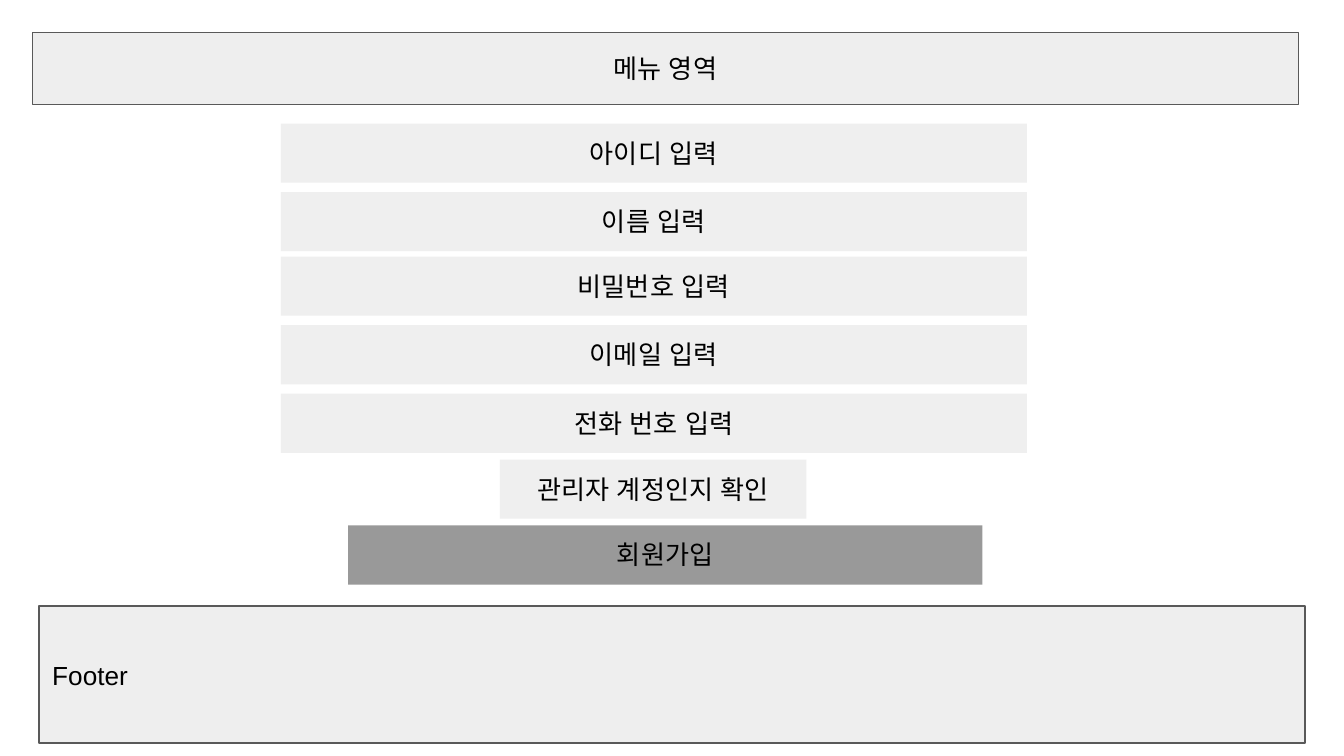
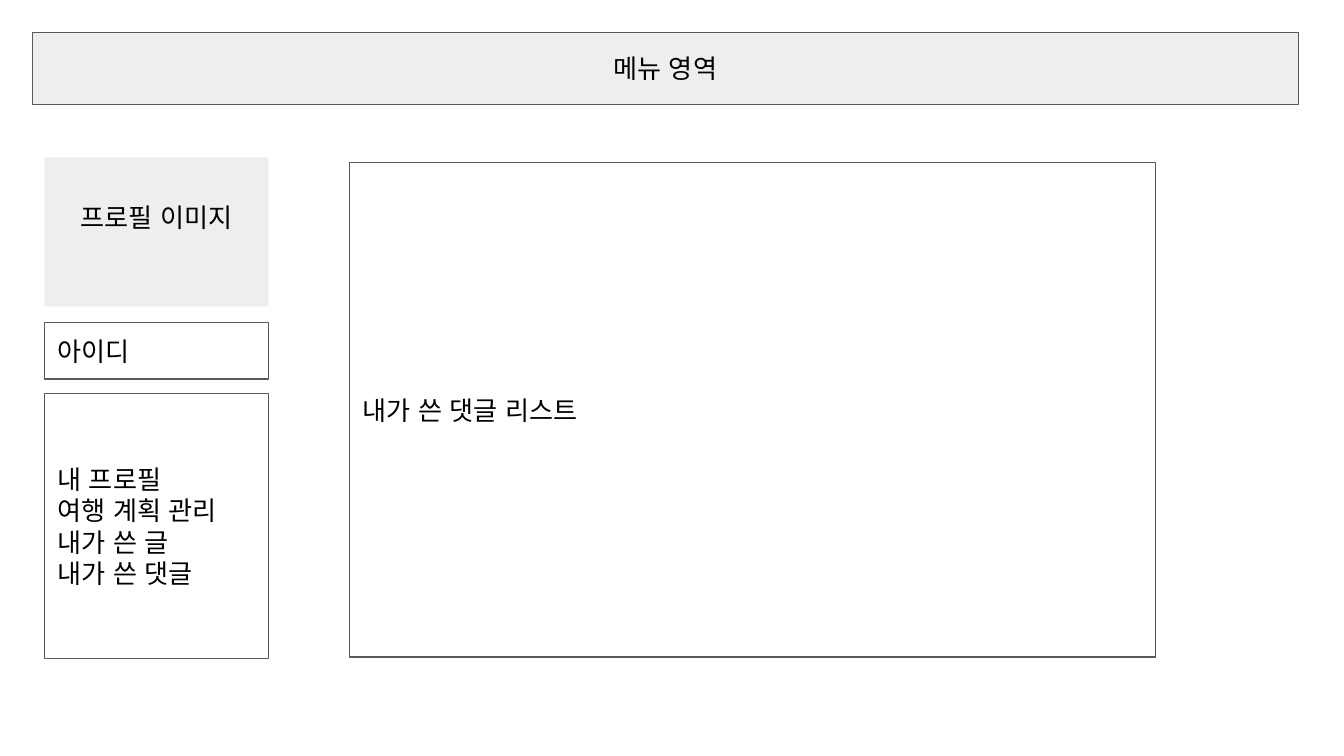
from dataclasses import dataclass

from lxml import etree
from pptx import Presentation
from pptx.dml.color import RGBColor
from pptx.enum.shapes import MSO_SHAPE
from pptx.enum.text import MSO_ANCHOR, MSO_AUTO_SIZE, PP_ALIGN
from pptx.oxml.ns import qn
from pptx.util import Inches, Pt

RECTANGLE = MSO_SHAPE.RECTANGLE
TOP, MIDDLE = MSO_ANCHOR.TOP, MSO_ANCHOR.MIDDLE
LEFT, CENTER = PP_ALIGN.LEFT, PP_ALIGN.CENTER
FIT_SHAPE = MSO_AUTO_SIZE.SHAPE_TO_FIT_TEXT
BLANK_LAYOUT = 6
CELL = 0.1
COLUMNS = 100
ROWS = COLUMNS * 9 / 16


@dataclass(frozen=True)
class Theme:
    font: str = "Arial"
    text_size: float = 14
    line_width: float = 0.75
    inset: float = 0.1
    text: str = "000000"
    border: str = "595959"
    band: str = "EEEEEE"
    field: str = "EFEFEF"
    button: str = "999999"
    panel: str = "FFFFFF"


@dataclass(frozen=True)
class Box:
    left: float
    top: float
    width: float
    height: float

    def inner(self, left, top, width, height):
        return Box(self.left + left, self.top + top, width, height)

    def inches(self):
        cells = (self.left, self.top, self.width, self.height)
        return [Inches(cell * CELL) for cell in cells]


THEME = Theme()
PAGE = Box(0, 0, COLUMNS, ROWS)
BAND_WIDTH = 94.2
FIELD_HEIGHT = 4.4
FIELDS = [
    ("아이디 입력", 0),
    ("이름 입력", 5.1),
    ("비밀번호 입력", 9.9),
    ("이메일 입력", 15),
    ("전화 번호 입력", 20.1),
]
PROFILE_MENU = ["내 프로필", "여행 계획 관리", "내가 쓴 글", "내가 쓴 댓글"]


def format_run(run):
    run.font.name = THEME.font
    run.font.size = Pt(THEME.text_size)
    run.font.color.rgb = RGBColor.from_string(THEME.text)
    properties = run.font._element
    for script in ("a:ea", "a:cs"):
        etree.SubElement(properties, qn(script)).set("typeface", THEME.font)


def add_block(slide, box, text, fill, align=LEFT, anchor=MIDDLE, bordered=False):
    shape = slide.shapes.add_shape(RECTANGLE, *box.inches())
    shape.shadow.inherit = False
    shape.fill.solid()
    shape.fill.fore_color.rgb = RGBColor.from_string(fill)
    if bordered:
        shape.line.color.rgb = RGBColor.from_string(THEME.border)
        shape.line.width = Pt(THEME.line_width)
    else:
        shape.line.fill.background()
    frame = shape.text_frame
    frame.text = text
    frame.word_wrap = True
    frame.vertical_anchor = anchor
    frame.margin_left = frame.margin_right = Inches(THEME.inset)
    frame.margin_top = frame.margin_bottom = Inches(THEME.inset)
    for paragraph in frame.paragraphs:
        paragraph.alignment = align
        for run in paragraph.runs:
            format_run(run)
    return shape


def add_field(slide, box, text, fill=THEME.field):
    shape = add_block(slide, box, text, fill, CENTER, TOP)
    shape.text_frame.auto_size = FIT_SHAPE


def add_panel(slide, box, text):
    add_block(slide, box, text, THEME.panel, bordered=True)


def add_menu(slide, box):
    add_block(slide, box, "메뉴 영역", THEME.band, CENTER, bordered=True)


def add_footer(slide, box):
    add_block(slide, box, "Footer", THEME.band, bordered=True)


def add_sign_up_form(slide, box):
    for label, top in FIELDS:
        add_field(slide, box.inner(0, top, box.width, FIELD_HEIGHT), label)
    add_field(slide, box.inner(16.3, 25, 22.8, FIELD_HEIGHT), "관리자 계정인지 확인")
    add_field(slide, box.inner(5, 29.9, 47.2, FIELD_HEIGHT), "회원가입", THEME.button)


def add_profile_sidebar(slide, box):
    portrait = add_block(slide, box.inner(0, 0, box.width, 11.1),
                         "프로필 이미지", THEME.band, CENTER, TOP)
    portrait.text_frame.margin_top = Inches(0.33)
    add_panel(slide, box.inner(0, 12.3, box.width, 4.2), "아이디")
    add_panel(slide, box.inner(0, 17.6, box.width, 19.7), "\n".join(PROFILE_MENU))


def add_page(presentation):
    slide = presentation.slides.add_slide(presentation.slide_layouts[BLANK_LAYOUT])
    add_menu(slide, PAGE.inner(2.4, 2.4, BAND_WIDTH, 5.4))
    return slide


def build_sign_up_page(presentation):
    slide = add_page(presentation)
    add_sign_up_form(slide, PAGE.inner(20.9, 9.2, 55.5, 34.3))
    add_footer(slide, PAGE.inner(2.9, 45.1, BAND_WIDTH, 10.2))


def build_comments_page(presentation):
    slide = add_page(presentation)
    add_profile_sidebar(slide, PAGE.inner(3.3, 11.7, 16.7, 37.3))
    add_panel(slide, PAGE.inner(26, 12.1, 60, 36.8), "내가 쓴 댓글 리스트")


def main():
    presentation = Presentation()
    presentation.slide_width = Inches(COLUMNS * CELL)
    presentation.slide_height = Inches(ROWS * CELL)
    build_sign_up_page(presentation)
    build_comments_page(presentation)
    presentation.save("out.pptx")


if __name__ == "__main__":
    main()
